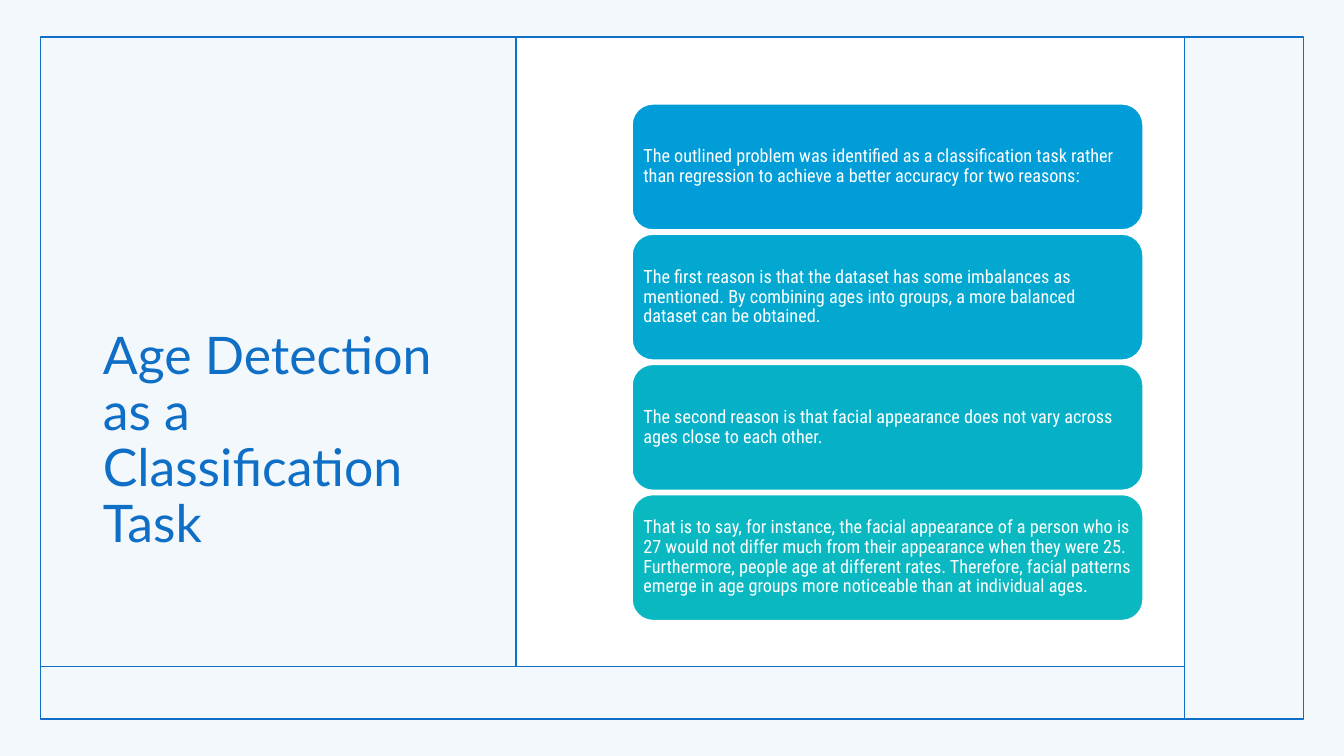
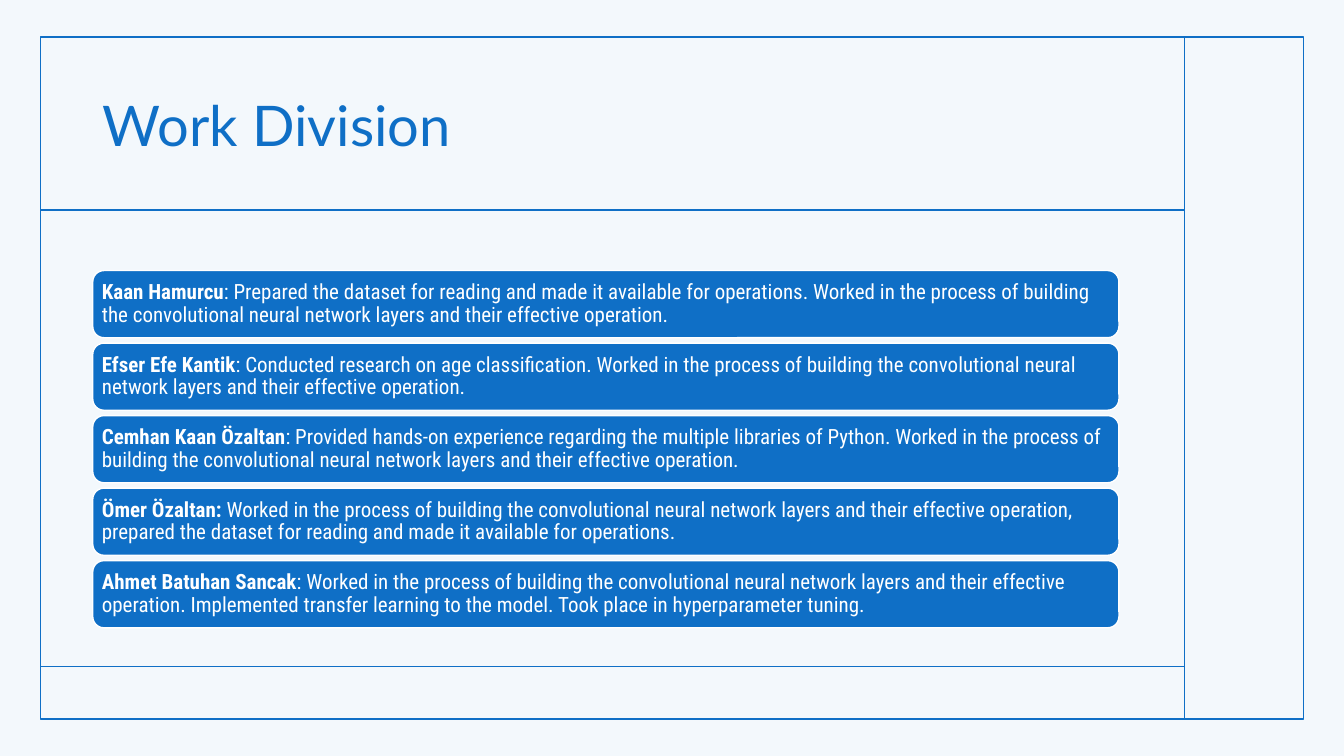
from dataclasses import dataclass
from lxml.etree import SubElement
from pptx import Presentation
from pptx.dml.color import RGBColor as RGB
from pptx.enum.shapes import MSO_CONNECTOR as CONN, MSO_SHAPE as SHAPE
from pptx.enum.text import MSO_ANCHOR as ANCHOR, MSO_AUTO_SIZE as AUTO, PP_ALIGN as ALIGN
from pptx.oxml.ns import qn
from pptx.util import Pt


@dataclass(frozen=True)
class Theme:
    accent: str = "0F6FC6"
    ground: str = "F3F8FC"
    white: str = "FFFFFF"
    steps: tuple = ("009DD9", "03A8D1", "06B1C8", "09B8C0")
    title_font: str = "Lato"
    body_font: str = "Roboto Condensed"
    side_title: int = 37
    top_title: int = 40
    reason: int = 13
    member: int = 15
    line: int = 1


T = Theme()
WIDTH, HEIGHT = 960, 540
LEFT, TOP, RIGHT, BOTTOM = 29, 26.5, 931, 513.5
SIDEBAR_X, FOOTER_Y, PANEL_X, HEADER_Y = 846, 476, 368.5, 150
MARGIN_X = 66.25

REASONS = (
    "The outlined problem was identified as a classification task rather than regression "
    "to achieve a better accuracy for two reasons:",
    "The first reason is that the dataset has some imbalances as mentioned. By combining "
    "ages into groups, a more balanced dataset can be obtained.",
    "The second reason is that facial appearance does not vary across ages close to each other.",
    "That is to say, for instance, the facial appearance of a person who is 27 would not "
    "differ much from their appearance when they were 25. Furthermore, people age at "
    "different rates. Therefore, facial patterns emerge in age groups more noticeable than "
    "at individual ages.",
)
MEMBERS = (
    ("Kaan Hamurcu",
     ": Prepared the dataset for reading and made it available for operations. Worked in the "
     "process of building the convolutional neural network layers and their effective operation."),
    ("Efser Efe Kantik",
     ": Conducted research on age classification. Worked in the process of building the "
     "convolutional neural network layers and their effective operation."),
    ("Cemhan Kaan Özaltan",
     ": Provided hands-on experience regarding the multiple libraries of Python. Worked in the "
     "process of building the convolutional neural network layers and their effective operation."),
    ("Ömer Özaltan: ",
     "Worked in the process of building the convolutional neural network layers and their "
     "effective operation, prepared the dataset for reading and made it available for operations."),
    ("Ahmet Batuhan Sancak",
     ": Worked in the process of building the convolutional neural network layers and their "
     "effective operation. Implemented transfer learning to the model. Took place in "
     "hyperparameter tuning."),
)


def apply(obj, **values):
    for name, value in values.items():
        setattr(obj, name, value)


def paint(fill, color):
    fill.solid()
    fill.fore_color.rgb = RGB.from_string(color)


def stroke(line, color):
    line.width = Pt(T.line)
    paint(line.fill, color)


def add_box(slide, kind, box, fill=None, line=None):
    sp = slide.shapes.add_shape(kind, *map(Pt, box))
    sp.shadow.inherit = False
    if fill:
        paint(sp.fill, fill)
    else:
        sp.fill.background()
    if line:
        stroke(sp.line, line)
    else:
        sp.line.fill.background()
    return sp


def add_rule(slide, *ends):
    cx = slide.shapes.add_connector(CONN.STRAIGHT, *map(Pt, ends))
    stroke(cx.line, T.accent)
    SubElement(cx._element.spPr, qn("a:effectLst"))


def write(sp, runs, anchor, font, size, color):
    tf = sp.text_frame
    apply(tf, word_wrap=True, auto_size=AUTO.NONE, vertical_anchor=anchor)
    p = tf.paragraphs[0]
    apply(p, alignment=ALIGN.LEFT, line_spacing=0.9)
    for text, bold in runs:
        r = p.add_run()
        r.text = text
        apply(r.font, name=font, size=Pt(size), bold=bold)
        r.font.color.rgb = RGB.from_string(color)


def add_title(slide, text, box, anchor, size):
    sp = slide.shapes.title
    apply(sp, **dict(zip(("left", "top", "width", "height"), map(Pt, box))))
    write(sp, [(text, False)], anchor, T.title_font, size, T.accent)


def add_cards(slide, cards, colors, box, pitch, size, inset):
    x, y, w, h = box
    for i, (runs, color) in enumerate(zip(cards, colors)):
        sp = add_box(slide, SHAPE.ROUNDED_RECTANGLE, (x, y + i * pitch, w, h), color, T.white)
        sides = ("left", "top", "right", "bottom")
        apply(sp.text_frame, **{f"margin_{side}": Pt(inset) for side in sides})
        write(sp, runs, ANCHOR.MIDDLE, T.body_font, size, T.white)


def new_slide(prs):
    slide = prs.slides.add_slide(prs.slide_layouts[5])
    paint(slide.background.fill, T.ground)
    return slide


def add_frame(slide):
    add_box(slide, SHAPE.RECTANGLE, (LEFT, TOP, RIGHT - LEFT, BOTTOM - TOP), line=T.accent)
    add_rule(slide, SIDEBAR_X, TOP, SIDEBAR_X, BOTTOM)
    add_rule(slide, LEFT, FOOTER_Y, SIDEBAR_X, FOOTER_Y)


def classification_slide(prs):
    slide = new_slide(prs)
    panel = (PANEL_X, TOP, SIDEBAR_X - PANEL_X, FOOTER_Y - TOP)
    add_box(slide, SHAPE.RECTANGLE, panel, T.white)
    add_frame(slide)
    add_rule(slide, PANEL_X, TOP, PANEL_X, FOOTER_Y)
    add_title(slide, "Age Detection as a Classification Task",
              (MARGIN_X, 66, 269.5, 333), ANCHOR.BOTTOM, T.side_title)
    cards = [[(text, False)] for text in REASONS]
    add_cards(slide, cards, T.steps, (451.5, 74.25, 365, 90), 93, T.reason, 3.7)


def division_slide(prs):
    slide = new_slide(prs)
    add_frame(slide)
    add_rule(slide, LEFT, HEADER_Y, SIDEBAR_X, HEADER_Y)
    add_title(slide, "Work Division", (MARGIN_X, 43, 726, 98), ANCHOR.MIDDLE, T.top_title)
    cards = [[(name, True), (work, False)] for name, work in MEMBERS]
    add_cards(slide, cards, [T.accent] * len(cards),
              (MARGIN_X, 193.25, 733, 48), 51.8, T.member, 4.2)


def main():
    prs = Presentation()
    apply(prs, slide_width=Pt(WIDTH), slide_height=Pt(HEIGHT))
    classification_slide(prs)
    division_slide(prs)
    prs.save("out.pptx")


if __name__ == "__main__":
    main()
